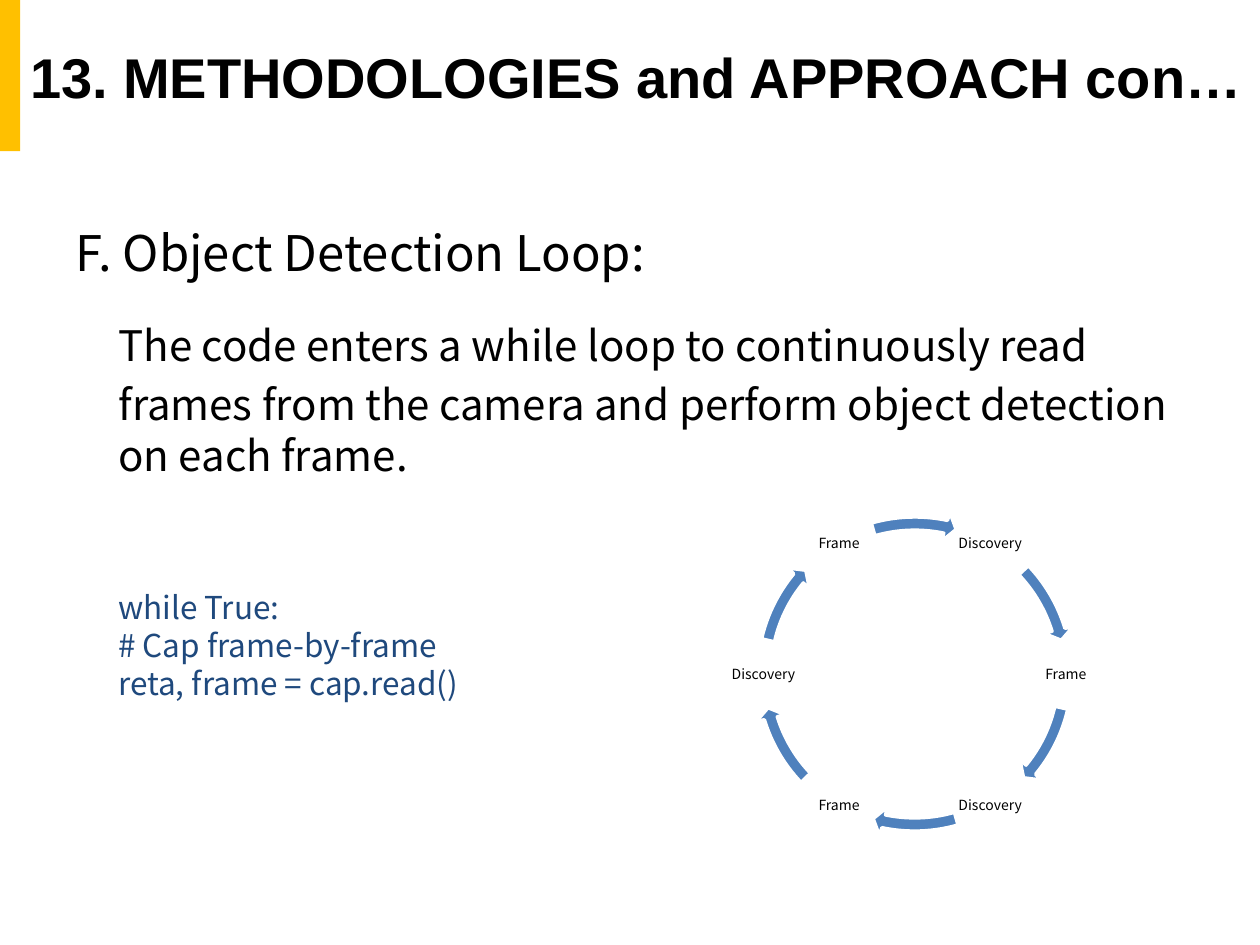
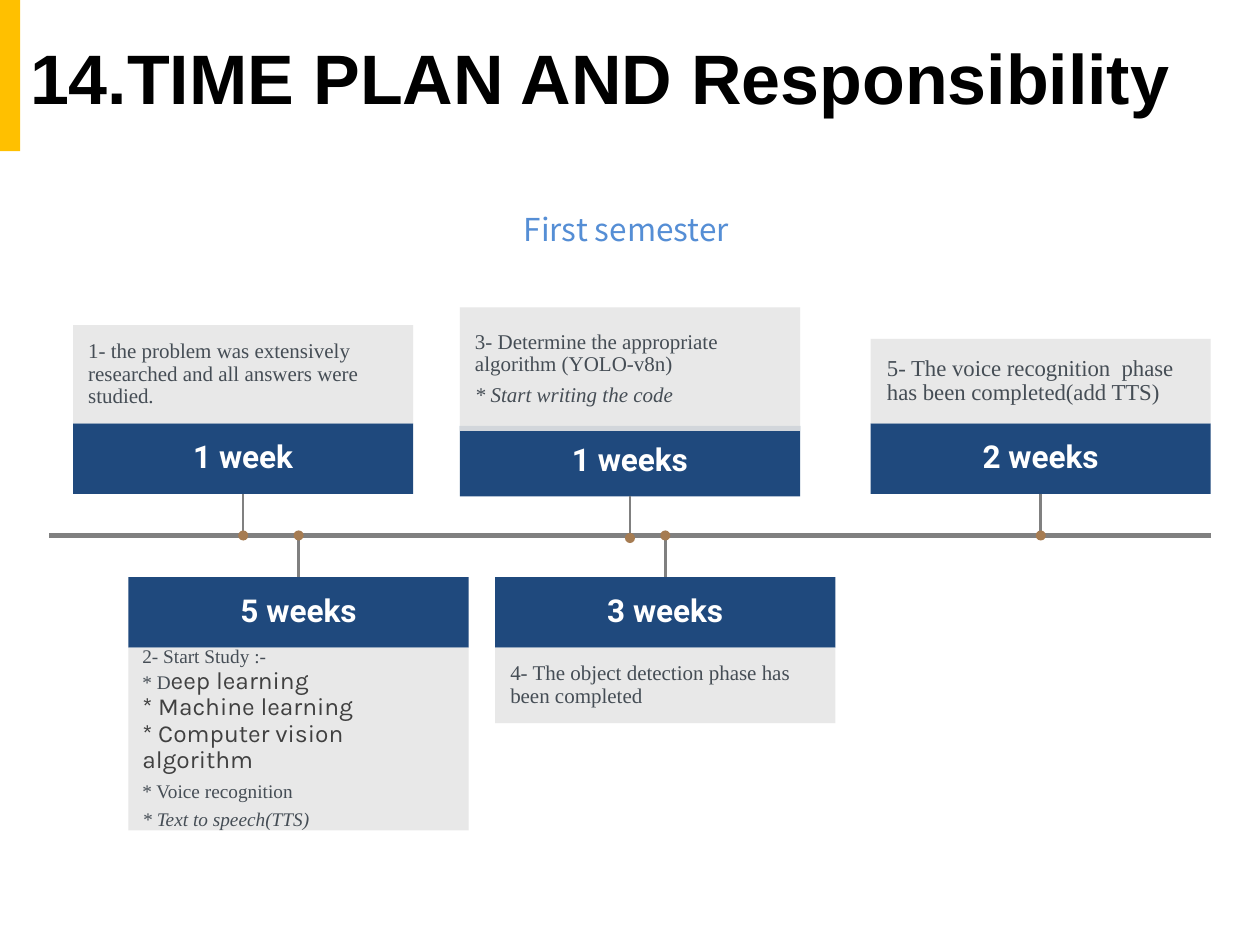
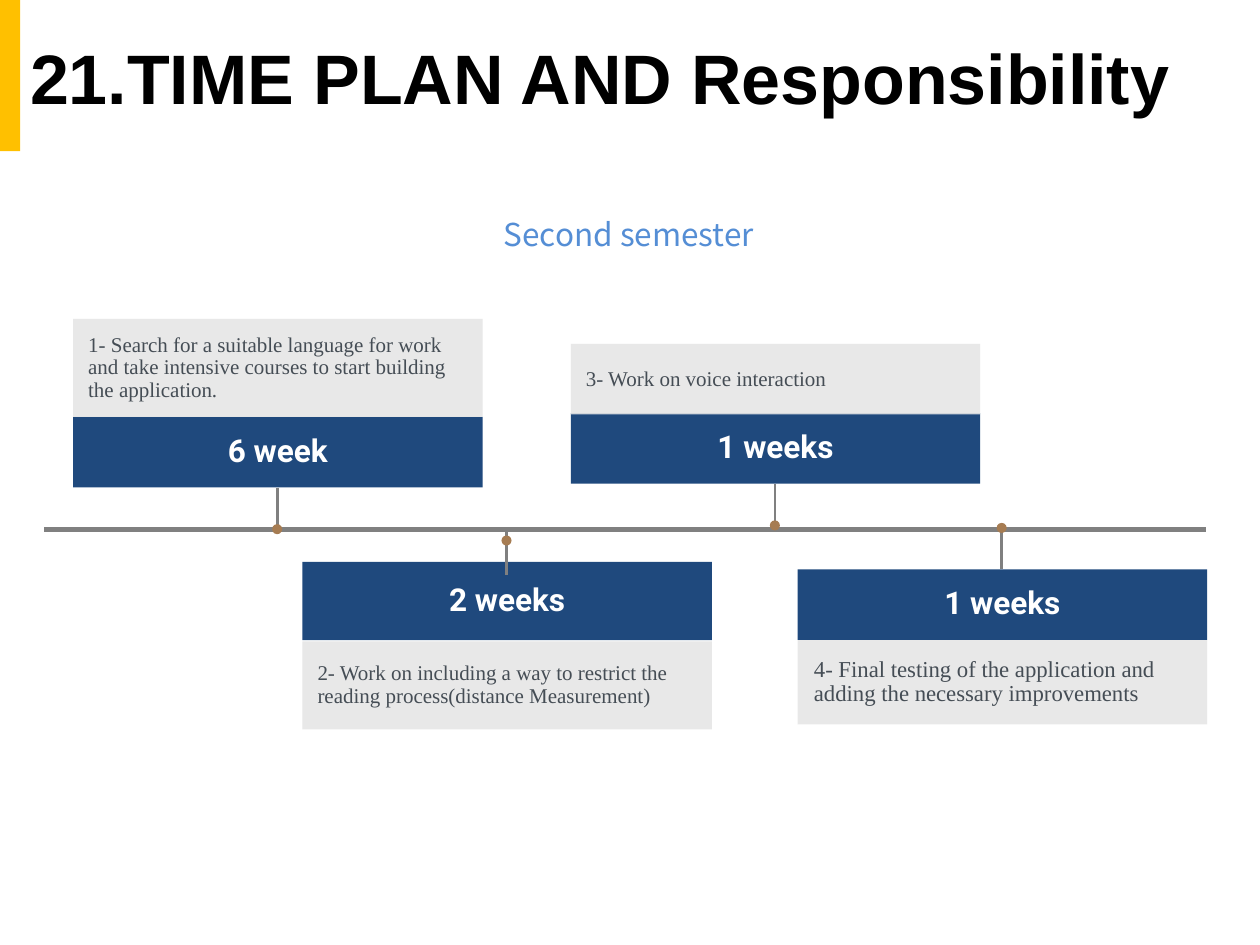
from dataclasses import dataclass
from math import cos, radians, sin

from lxml import etree
from pptx import Presentation
from pptx.dml.color import RGBColor
from pptx.enum.shapes import MSO_CONNECTOR, MSO_SHAPE
from pptx.enum.text import MSO_ANCHOR, PP_ALIGN
from pptx.oxml.ns import qn
from pptx.util import Emu, Pt

# Shared look: 100 px to the inch
PX = 9144
BLANK = 6
RECT, OVAL, ARC_ARROW = MSO_SHAPE.RECTANGLE, MSO_SHAPE.OVAL, MSO_SHAPE.CIRCULAR_ARROW
STRAIGHT = MSO_CONNECTOR.STRAIGHT
TOP, MIDDLE = MSO_ANCHOR.TOP, MSO_ANCHOR.MIDDLE
LEFT, CENTER = PP_ALIGN.LEFT, PP_ALIGN.CENTER

BLACK, WHITE, NAVY, BLUE, SKY = "000000", "FFFFFF", "1F497D", "4F81BD", "558ED5"
YELLOW, GRAY, PALE, BROWN = "FFC000", "808080", "E6E6E6", "A67C52"
SLATE, CHARCOAL = "454D55", "404040"

TITLE = dict(name="Arial", bold=True, color=BLACK)
BODY = dict(name="Noto Sans CJK KR", color=BLACK)
HEADER = dict(name="Roboto", size=18, bold=True, color=WHITE)
NOTE = dict(name="Times New Roman", color=SLATE)
KARLA = dict(name="Karla", size=14, color=CHARCOAL)
ITALIC = dict(italic=True)

STEM = 33
DOT = 8


@dataclass
class Card:
    left: int
    header_top: int
    duration: str
    note_top: int
    note_height: int
    paras: list
    size: int = 12
    header_height: int = 56
    stem: tuple = ()
    dot: int = 0


def px(value):
    return Emu(round(value * PX))


def rgb(color):
    return RGBColor.from_string(color)


# Text
def set_font(font, style):
    for key, value in style.items():
        if key == "color":
            font.color.rgb = rgb(value)
        else:
            setattr(font, key, Pt(value) if key == "size" else value)


def add_spans(para, spans, style):
    """Spans are plain text or (text, changes); a newline breaks the line."""
    for span in [spans] if isinstance(spans, str) else spans:
        text, changes = (span, {}) if isinstance(span, str) else span
        for index, line in enumerate(text.split("\n")):
            if index:
                para.add_line_break()
            if line:
                run = para.add_run()
                run.text = line
                set_font(run.font, {**style, **changes})


def fill_text(shape, paras, style, anchor=TOP, align=LEFT, insets=(10, 5, 10, 5),
              spacing=None, gap=0):
    frame = shape.text_frame
    frame.word_wrap = True
    frame.vertical_anchor = anchor
    for side, inset in zip(("left", "top", "right", "bottom"), insets):
        setattr(frame, f"margin_{side}", px(inset))
    for index, spans in enumerate(paras):
        para = frame.add_paragraph() if index else frame.paragraphs[0]
        para.alignment = align
        if spacing:
            para.line_spacing = spacing
        if index and gap:
            para.space_before = Pt(gap)
        add_spans(para, spans, style)


def add_text(page, area, paras, style, **layout):
    box = page.shapes.add_textbox(*map(px, area))
    fill_text(box, paras, style, **layout)


def add_body(page, area, paras, size, color=BLACK, **layout):
    style = {**BODY, "size": size, "color": color}
    add_text(page, area, paras, style, spacing=Pt(size * 1.2), **layout)


# Shapes and lines
def add_shape(page, kind, area, color, alpha=None):
    shape = page.shapes.add_shape(kind, *map(px, area))
    shape.shadow.inherit = False
    shape.fill.solid()
    shape.fill.fore_color.rgb = rgb(color)
    shape.line.fill.background()
    if alpha:
        solid = shape.fill._xPr.find(qn("a:solidFill"))
        etree.SubElement(solid[0], qn("a:alpha"), val=str(alpha * 1000))
    return shape


def add_line(page, start, end, width):
    line = page.shapes.add_connector(STRAIGHT, *map(px, start + end))
    line.line.color.rgb = rgb(GRAY)
    line.line.width = Pt(width)
    etree.SubElement(line._element.spPr, qn("a:effectLst"))


# Slide parts
def start_page(deck, title, size):
    page = deck.slides.add_slide(deck.slide_layouts[BLANK])
    add_shape(page, RECT, (0, 0, 16, 120), YELLOW)
    add_text(page, (14, 2, 986, 117), [title], {**TITLE, "size": size}, anchor=MIDDLE)
    return page


def add_cycle(page, center_x, center_y):
    radius, label_size, arc_size = 120, 54, 263
    for step in range(6):
        angle = radians(60 * step - 60)
        left = center_x + radius * cos(angle) - label_size / 2
        top = center_y + radius * sin(angle) - label_size / 2
        label = "Frame" if step % 2 else "Discovery"
        add_body(page, (left, top, label_size, label_size), [label], 8,
                 anchor=MIDDLE, align=CENTER, insets=(1, 1, 1, 1))

    # Arcs in degrees; the second half of the ring is the first half turned round
    arcs = [(316.36, 342.91), (12.93, 39.47), (73.96, 101.87)]
    for turn in (0, 180):
        for start, end in arcs:
            area = (center_x - arc_size / 2, center_y - arc_size / 2, arc_size, arc_size)
            arrow = add_shape(page, ARC_ARROW, area, BLUE)
            arrow.line.color.rgb = rgb(WHITE)
            arrow.line.width = Pt(2)
            ends = [(degrees + turn) % 360 * 0.6 for degrees in (end, start)]
            for index, value in enumerate([0.04, 2.5, *ends, 0.046]):
                arrow.adjustments[index] = value


def add_card(page, card, width, axis):
    header = add_shape(page, RECT, (card.left, card.header_top, width, card.header_height), NAVY)
    fill_text(header, [card.duration], HEADER, anchor=MIDDLE, align=CENTER,
              insets=(10,) * 4, spacing=0.9)
    note = add_shape(page, RECT, (card.left, card.note_top, width, card.note_height), PALE, alpha=90)
    fill_text(note, card.paras, {**NOTE, "size": card.size}, anchor=MIDDLE,
              insets=(card.size,) * 4, spacing=0.9, gap=card.size * 0.4)

    # Stem and the dot at its axis end
    middle = card.left + width // 2
    bottom = card.header_top + card.header_height
    if card.header_top < axis:
        stem, dot = (bottom, bottom + STEM), bottom + STEM
    else:
        stem, dot = (card.header_top - STEM, card.header_top), card.header_top - STEM
    top, end = card.stem or stem
    add_line(page, (middle, top), (middle, end), 1.5)
    dot_top = (card.dot or dot) - DOT // 2
    add_shape(page, OVAL, (middle - DOT // 2, dot_top, DOT, DOT), BROWN)


def add_timeline(page, left, axis, card_width, cards):
    add_line(page, (left, axis), (left + 922, axis), 3)
    for card in cards:
        add_card(page, card, card_width, axis)


# Slides
def detection_loop(deck):
    page = start_page(deck, "13. METHODOLOGIES and APPROACH con…", 32)
    add_body(page, (50, 175, 900, 50), ["F. Object Detection Loop:"], 28, anchor=MIDDLE)
    add_body(page, (51, 249, 900, 394), [
        "The code enters a while loop to continuously read",
        "frames from the camera and perform object detection on each frame.",
    ], 24, insets=(43, 5, 10, 5), gap=4.8)
    add_cycle(page, 726, 535)
    add_body(page, (84, 462, 413, 101), [
        "while True:",
        "# Cap frame-by-frame",
        "reta, frame = cap.read()",
    ], 18, NAVY)


def first_semester(deck):
    page = start_page(deck, "14.TIME PLAN AND Responsibility", 40)
    add_body(page, (406, 162, 284, 40), ["First semester"], 18, SKY)
    study = [
        ["2- Start Study :-\n* D", ("eep learning\n* Machine learning\n* Computer vision algorithm", KARLA)],
        "* Voice recognition",
        [("* Text to speech(TTS)", ITALIC)],
    ]
    add_timeline(page, 39, 425, 270, [
        Card(58, 336, "1 week", 258, 78, [[
            "1- the problem was extensively researched and all answers were studied", (".", ITALIC)]]),
        Card(102, 458, "5 weeks", 514, 145, study, size=11),
        Card(365, 338, "1 weeks", 244, 98, [
            "3- Determine the appropriate algorithm (YOLO-v8n)",
            [("* Start writing the code", ITALIC)]]),
        Card(393, 458, "3 weeks", 514, 60, ["4- The object detection phase has been completed"]),
        Card(691, 336, "2 weeks", 269, 67,
             ["5- The voice recognition  phase has been completed(add TTS)"], size=13),
    ])


def second_semester(deck):
    page = start_page(deck, "21.TIME PLAN AND Responsibility", 40)
    add_timeline(page, 35, 420, 325, [
        Card(58, 331, "6 week", 253, 78, [[
            "1- Search for a suitable language for work and take intensive courses "
            "to start building the application", (".", ITALIC)]]),
        Card(240, 446, "2 weeks", 509, 70,
             ["2- Work on including a way to restrict the reading process(distance Measurement)"],
             header_height=62, stem=(419, 456), dot=429),
        Card(453, 328, "1 weeks", 273, 56, ["3- Work on voice interaction"]),
        Card(633, 452, "1 weeks", 508, 67,
             ["4- Final testing of the application and adding the necessary improvements"], size=13),
    ])
    add_body(page, (390, 166, 284, 40), ["Second semester"], 18, SKY)


def main():
    deck = Presentation()
    deck.slide_width, deck.slide_height = px(1000), px(750)
    detection_loop(deck)
    first_semester(deck)
    second_semester(deck)
    deck.save("out.pptx")


if __name__ == "__main__":
    main()
